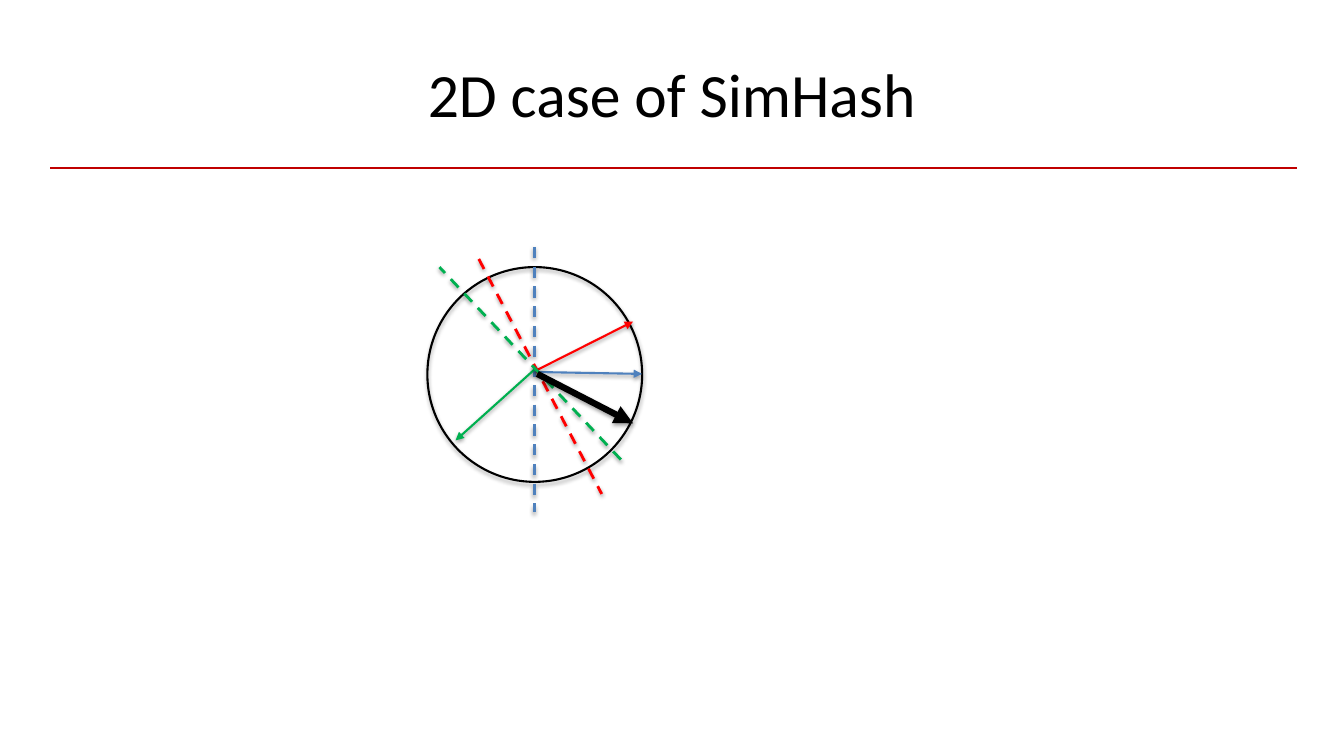
from lxml import etree
from pptx import Presentation
from pptx.dml.color import RGBColor
from pptx.enum.dml import MSO_LINE
from pptx.enum.shapes import MSO_CONNECTOR, MSO_SHAPE
from pptx.enum.text import MSO_ANCHOR, PP_ALIGN
from pptx.oxml.ns import qn
from pptx.util import Pt

STRAIGHT = MSO_CONNECTOR.STRAIGHT
OVAL = MSO_SHAPE.OVAL
DASH = MSO_LINE.DASH
MIDDLE = MSO_ANCHOR.MIDDLE
CENTER = PP_ALIGN.CENTER

# Content: lengths in points, line ends as (x1, y1, x2, y2)
TITLE = "2D case of SimHash"
FONT = "Calibri"
COLORS = {"black": "000000", "rule": "C00000", "blue": "4F81BD",
          "red": "FF0000", "green": "00B050"}
TITLE_AREA = (48, 21.6, 864, 90)
RULE = (36, 120, 926.6, 120)
CIRCLE_CENTER, CIRCLE_RADIUS = (382, 267.5), 76.7

# Each random vector with the hyperplane it defines
VECTORS = [
    ("blue", (381.6, 265.7, 458.6, 267.1), (381.6, 176.4, 381.6, 365.8)),
    ("red", (383.8, 264.2, 452.2, 229.7), (342, 185, 429.8, 352.8)),
    ("green", (382.3, 263.5, 325.4, 314.6), (443.5, 328.3, 313.9, 190.8)),
]
ITEM_VECTOR = (383.8, 267.1, 452.2, 302.4)


def color(name):
    return RGBColor.from_string(COLORS[name])


def set_effects(shape, opacity=0, distance=0):
    """Replace the theme shadow; zero opacity means no shadow."""
    properties = shape._element.spPr
    effects = etree.SubElement(properties, qn("a:effectLst"))
    if opacity:
        shadow = etree.SubElement(
            effects, qn("a:outerShdw"), blurRad=str(Pt(3.1)),
            dist=str(Pt(distance)), dir="5400000", rotWithShape="0")
        tint = etree.SubElement(shadow, qn("a:srgbClr"), val=COLORS["black"])
        etree.SubElement(tint, qn("a:alpha"), val=str(opacity * 1000))


def add_line(shapes, ends, name, width, dashed=False, arrow=False, opacity=38):
    line = shapes.add_connector(STRAIGHT, *map(Pt, ends))
    line.line.color.rgb = color(name)
    line.line.width = Pt(width)
    if dashed:
        line.line.dash_style = DASH
    if arrow:
        outline = line._element.spPr.find(qn("a:ln"))
        etree.SubElement(outline, qn("a:tailEnd"), type="triangle")
    set_effects(line, opacity, 1.6)


deck = Presentation()
deck.slide_width, deck.slide_height = Pt(960), Pt(540)
page = deck.slides.add_slide(deck.slide_layouts[6])

# Title and rule
add_line(page.shapes, RULE, "rule", 2, opacity=0)
box = page.shapes.add_textbox(*map(Pt, TITLE_AREA))
frame = box.text_frame
frame.word_wrap = True
frame.vertical_anchor = MIDDLE
frame.text = TITLE
para = frame.paragraphs[0]
para.alignment = CENTER
span = para.runs[0]
span.font.name = FONT
span.font.size = Pt(44)
span.font.color.rgb = color("black")

# Unit circle
left, top = (middle - CIRCLE_RADIUS for middle in CIRCLE_CENTER)
circle = page.shapes.add_shape(
    OVAL, Pt(left), Pt(top), Pt(2 * CIRCLE_RADIUS), Pt(2 * CIRCLE_RADIUS))
circle.fill.background()
circle.line.color.rgb = color("black")
circle.line.width = Pt(1.5)
set_effects(circle, 35, 1.8)

# Random vectors with their hyperplanes, then the hashed item
for name, vector, hyperplane in VECTORS:
    group = page.shapes.add_group_shape()
    add_line(group.shapes, vector, name, 1.5, arrow=True)
    add_line(group.shapes, hyperplane, name, 2, dashed=True)
add_line(page.shapes, ITEM_VECTOR, "black", 4.5, arrow=True)

deck.save("out.pptx")
